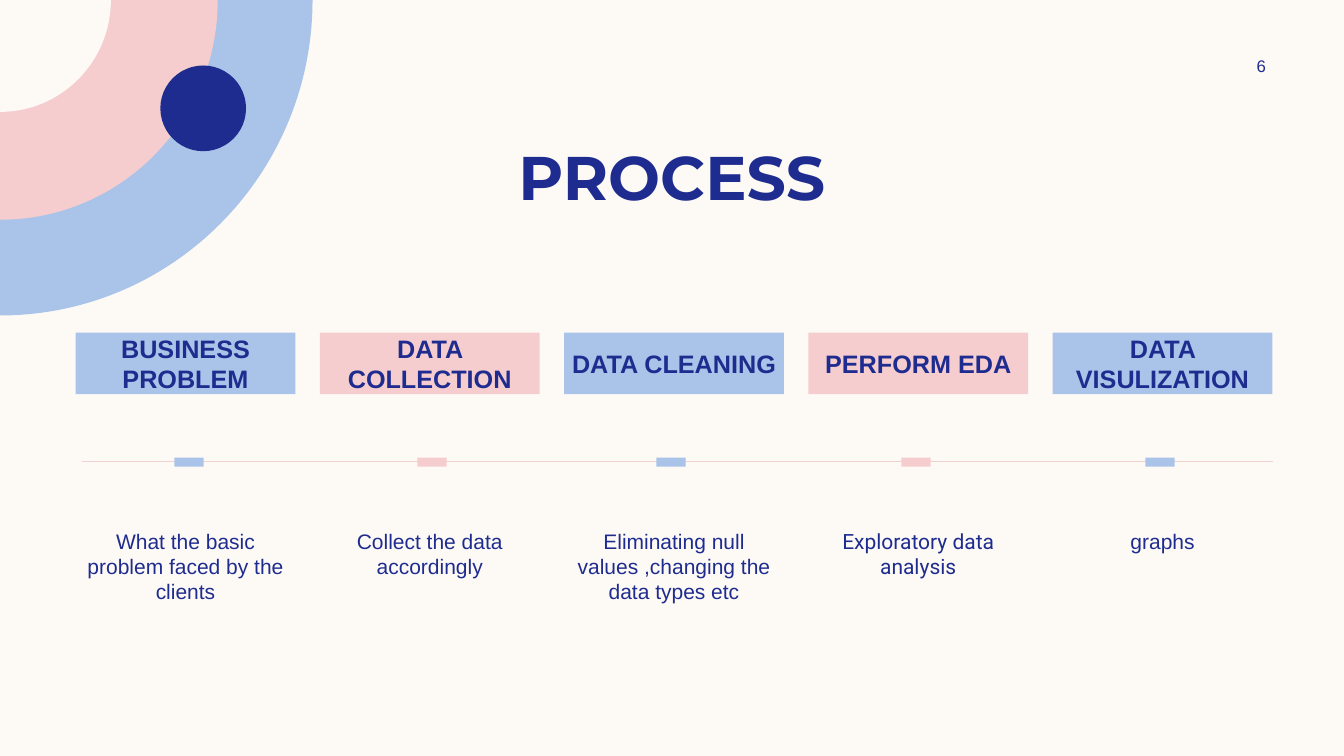
from pptx import Presentation
from pptx.dml.color import RGBColor
from pptx.enum.shapes import MSO_CONNECTOR, MSO_SHAPE
from pptx.enum.text import MSO_ANCHOR, PP_ALIGN
from pptx.oxml.ns import qn
from pptx.util import Inches, Pt
from lxml.etree import SubElement

COLORS = {"cream": "FDFAF6", "blue": "AAC3E8", "pink": "F5CDCE",
          "navy": "1F2C8F", "rose": "F2D1D1"}

STEPS = [
    ("BUSINESS PROBLEM", "What the basic problem faced by the clients", "Arial", 1.83, 0.87),
    ("DATA COLLECTION", "Collect the data accordingly", "Arial", 4.24, 0.87),
    ("DATA CLEANING", "Eliminating null values ,changing the data types etc",
     "Arial", 6.61, 0.87),
    ("PERFORM EDA", "Exploratory data analysis", "Roboto", 9.04, 0.87),
    ("DATA VISULIZATION", "graphs", "Arial", 11.46, 1.09),
]
STEP_LEFT, STEP_PITCH, STEP_WIDTH = 0.75, 2.4225, 2.18
ARC_PULL = 0.5523


def rgb(color):
    return RGBColor.from_string(COLORS[color])


def paint(shape, color):
    shape.shadow.inherit = False
    shape.fill.solid()
    shape.fill.fore_color.rgb = rgb(color)
    shape.line.fill.background()


def add_quarter_disc(slide, width, height, color):
    right, bottom = Inches(width), Inches(height)
    builder = slide.shapes.build_freeform(0, 0)
    builder.add_line_segments([(right, 0), (0, bottom)], close=True)
    disc = builder.convert_to_shape()
    paint(disc, color)
    edge = disc._element.findall(".//" + qn("a:lnTo"))[1]
    edge.tag = qn("a:cubicBezTo")
    edge.remove(edge[0])
    for x, y in ((right, bottom * ARC_PULL), (right * ARC_PULL, bottom), (0, bottom)):
        SubElement(edge, qn("a:pt"), x=str(round(x)), y=str(round(y)))


def add_block(slide, kind, left, top, width, height, color):
    block = slide.shapes.add_shape(
        kind, Inches(left), Inches(top), Inches(width), Inches(height))
    paint(block, color)
    return block


def write(shape, text, size, font="Arial", bold=False,
          anchor=MSO_ANCHOR.TOP, side=0, edge=0.05):
    frame = shape.text_frame
    frame.word_wrap = True
    frame.vertical_anchor = anchor
    frame.margin_left = frame.margin_right = Inches(side)
    frame.margin_top = frame.margin_bottom = Inches(edge)
    paragraph = frame.paragraphs[0]
    paragraph.text = text
    paragraph.alignment = PP_ALIGN.CENTER
    paragraph.font.name = font
    paragraph.font.size = Pt(size)
    paragraph.font.bold = bold
    paragraph.font.color.rgb = rgb("navy")


def add_text(slide, left, top, width, height, text, size, **style):
    box = slide.shapes.add_textbox(
        Inches(left), Inches(top), Inches(width), Inches(height))
    write(box, text, size, **style)


def add_timeline(slide, start, end, top):
    timeline = slide.shapes.add_connector(
        MSO_CONNECTOR.STRAIGHT, Inches(start), Inches(top), Inches(end), Inches(top))
    timeline.line.color.rgb = rgb("rose")
    timeline.line.width = Pt(1)
    SubElement(timeline._element.spPr, qn("a:effectLst"))


def add_step(slide, index, heading, detail, font, marker_left, detail_height):
    left = STEP_LEFT + index * STEP_PITCH
    color = "pink" if index % 2 else "blue"
    label = add_block(slide, MSO_SHAPE.RECTANGLE, left, 3.3, STEP_WIDTH, 0.61, color)
    write(label, heading, 18, bold=True, anchor=MSO_ANCHOR.MIDDLE, edge=0)
    marker = add_block(slide, MSO_SHAPE.RECTANGLE, marker_left, 4.44, 0.09, 0.29, color)
    marker.rotation = 270
    add_text(slide, left, 5.19, STEP_WIDTH, detail_height, detail, 15, font=font)


def main():
    deck = Presentation()
    deck.slide_width, deck.slide_height = Inches(13.33), Inches(7.5)
    slide = deck.slides.add_slide(deck.slide_layouts[6])
    slide.background.fill.solid()
    slide.background.fill.fore_color.rgb = rgb("cream")

    add_quarter_disc(slide, 3.1, 3.13, "blue")
    add_quarter_disc(slide, 2.16, 2.18, "pink")
    add_quarter_disc(slide, 1.1, 1.11, "cream")
    add_block(slide, MSO_SHAPE.OVAL, 1.59, 0.65, 0.85, 0.85, "navy")

    add_timeline(slide, 0.81, 12.63, 4.58)
    add_text(slide, 0.83, 1.33, 11.67, 0.84, "PROCESS", 44,
             font="Montserrat", bold=True, side=0.1)
    add_text(slide, 11.97, 0.5, 1.08, 0.3, "6", 12,
             anchor=MSO_ANCHOR.MIDDLE, side=0.1)
    for index, step in enumerate(STEPS):
        add_step(slide, index, *step)

    deck.save("out.pptx")


if __name__ == "__main__":
    main()
